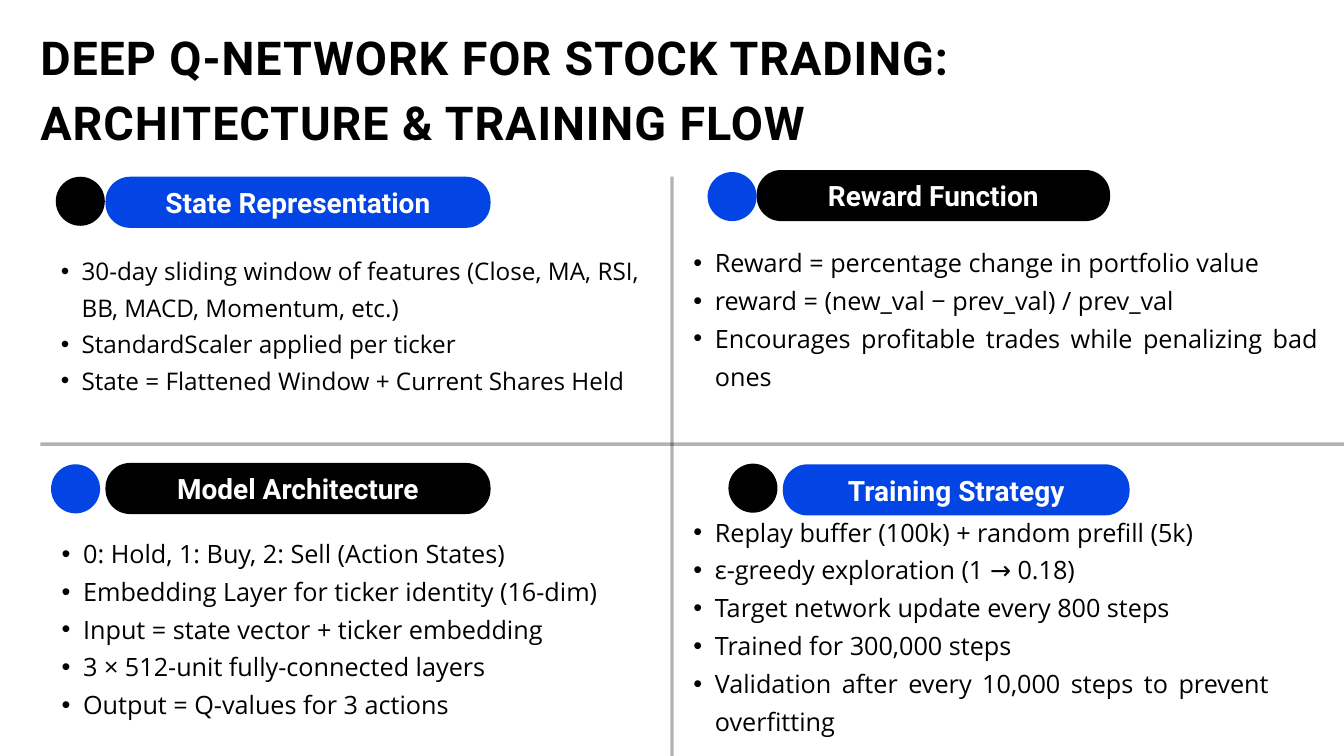
import pptx
import pptx.dml.color
import pptx.enum.shapes
import pptx.enum.text
import pptx.oxml.ns
import pptx.util
from lxml import etree

BLUE, BLACK, WHITE = "0345E4", "000000", "FFFFFF"
SHAPES = pptx.enum.shapes.MSO_SHAPE
ALIGN = pptx.enum.text.PP_ALIGN
qn = pptx.oxml.ns.qn

presentation = pptx.Presentation()
presentation.slide_width = pptx.util.Inches(20)
presentation.slide_height = pptx.util.Inches(11.25)
slide = presentation.slides.add_slide(presentation.slide_layouts[6])

# The grid has 100 columns and 100 rows
column = presentation.slide_width / 100
row = presentation.slide_height / 100


def color(hex_string):
    return pptx.dml.color.RGBColor.from_string(hex_string)


def style(paragraph, font_name, size, hex_string, spacing, alignment, bold=False):
    paragraph.alignment = alignment
    paragraph.line_spacing = pptx.util.Pt(spacing)
    paragraph.font.name = font_name
    paragraph.font.size = pptx.util.Pt(size)
    paragraph.font.bold = bold
    paragraph.font.color.rgb = color(hex_string)


# Dividers: start column, start row, end column, end row
for x1, y1, x2, y2 in [(3, 58.76, 100, 58.76), (50, 23.38, 50, 100)]:
    divider = slide.shapes.add_connector(
        pptx.enum.shapes.MSO_CONNECTOR.STRAIGHT,
        int(x1 * column), int(y1 * row), int(x2 * column), int(y2 * row))
    divider.line.width = pptx.util.Pt(3.75)
    divider.line.color.rgb = color(BLACK)
    line_color = divider.line._ln.find(".//" + qn("a:srgbClr"))
    etree.SubElement(line_color, qn("a:alpha"), val="30000")
    etree.SubElement(divider._element.spPr, qn("a:effectLst"))

title = slide.shapes.add_textbox(
    int(3 * column), int(2.58 * row), int(93 * column), int(16.89 * row))
title_frame = title.text_frame
title_frame.word_wrap = True
title_frame.margin_left = title_frame.margin_right = 0
title_frame.margin_top = title_frame.margin_bottom = 0
title_frame.text = "DEEP Q-NETWORK FOR STOCK TRADING: ARCHITECTURE & TRAINING FLOW"
style(title_frame.paragraphs[0], "Roboto", 50, BLACK, 70, ALIGN.LEFT, True)
title_frame.paragraphs[0].runs[0]._r.get_or_add_rPr().set("spc", "100")

# Heading, pill colour, dot colour, pill (left, top, width), dot (left, top),
# list (left, top, width, height), list text size, list items
sections = [
    ("State Representation", BLUE, BLACK, (7.85, 23.38, 28.65), (4.15, 23.38),
     (3, 32.98, 44.6, 23.38), 26, [
         "30-day sliding window of features (Close, MA, RSI, BB, MACD, Momentum, etc.)",
         "StandardScaler applied per ticker",
         "State = Flattened Window + Current Shares Held"]),
    ("Model Architecture", BLACK, BLUE, (7.85, 61.24, 28.65), (3.8, 61.42),
     (3, 70.22, 44.3, 28.71), 27, [
         "0: Hold, 1: Buy, 2: Sell (Action States)",
         "Embedding Layer for ticker identity (16-dim)",
         "Input = state vector + ticker embedding",
         "3 × 512-unit fully-connected layers",
         "Output = Q-values for 3 actions"]),
    ("Reward Function", BLACK, BLUE, (56.3, 22.49, 26.3), (52.65, 22.76),
     (50, 31.73, 48.05, 23.82), 27, [
         "Reward = percentage change in portfolio value",
         "reward = (new_val − prev_val) / prev_val",
         "Encourages profitable trades while penalizing bad ones"]),
    ("Training Strategy", BLUE, BLACK, (58.25, 61.42, 25.8), (54.2, 61.33),
     (50, 67.38, 44.4, 33.6), 27, [
         "Replay buffer (100k) + random prefill (5k)",
         "ε-greedy exploration (1 → 0.18)",
         "Target network update every 800 steps",
         "Trained for 300,000 steps",
         "Validation after every 10,000 steps to prevent overfitting"]),
]

for heading, pill_color, dot_color, pill_at, dot_at, list_at, size, items in sections:
    left, top, width = pill_at
    pill = slide.shapes.add_shape(
        SHAPES.ROUNDED_RECTANGLE,
        int(left * column), int(top * row), int(width * column), int(6.76 * row))
    pill.adjustments[0] = 0.48
    dot = slide.shapes.add_shape(
        SHAPES.OVAL, int(dot_at[0] * column), int(dot_at[1] * row),
        int(3.65 * column), int(3.65 * column))
    for shape, fill_color in [(pill, pill_color), (dot, dot_color)]:
        shape.shadow.inherit = False
        shape.fill.solid()
        shape.fill.fore_color.rgb = color(fill_color)
        shape.line.fill.background()

    pill_frame = pill.text_frame
    pill_frame.vertical_anchor = pptx.enum.text.MSO_ANCHOR.MIDDLE
    pill_frame.margin_top = 0
    pill_frame.margin_bottom = pptx.util.Inches(0.08)
    pill_frame.text = heading
    style(pill_frame.paragraphs[0], "Roboto", 30, WHITE, 42, ALIGN.CENTER, True)

    left, top, width, height = list_at
    bullet_list = slide.shapes.add_textbox(
        int(left * column), int(top * row), int(width * column), int(height * row))
    list_frame = bullet_list.text_frame
    list_frame.word_wrap = True
    list_frame.margin_left = list_frame.margin_right = 0
    list_frame.margin_top = list_frame.margin_bottom = 0
    list_frame.text = "\n".join(items)
    indent = pptx.util.Pt(size * 0.85)
    for paragraph in list_frame.paragraphs:
        paragraph.level = 1
        properties = paragraph._p.get_or_add_pPr()
        properties.set("marL", str(2 * indent))
        properties.set("indent", str(-indent))
        etree.SubElement(properties, qn("a:buFont"), typeface="Arial")
        etree.SubElement(properties, qn("a:buChar"), char="•")
        style(paragraph, "Open Sans", size, BLACK, size * 1.5, ALIGN.JUSTIFY)

presentation.save("out.pptx")
